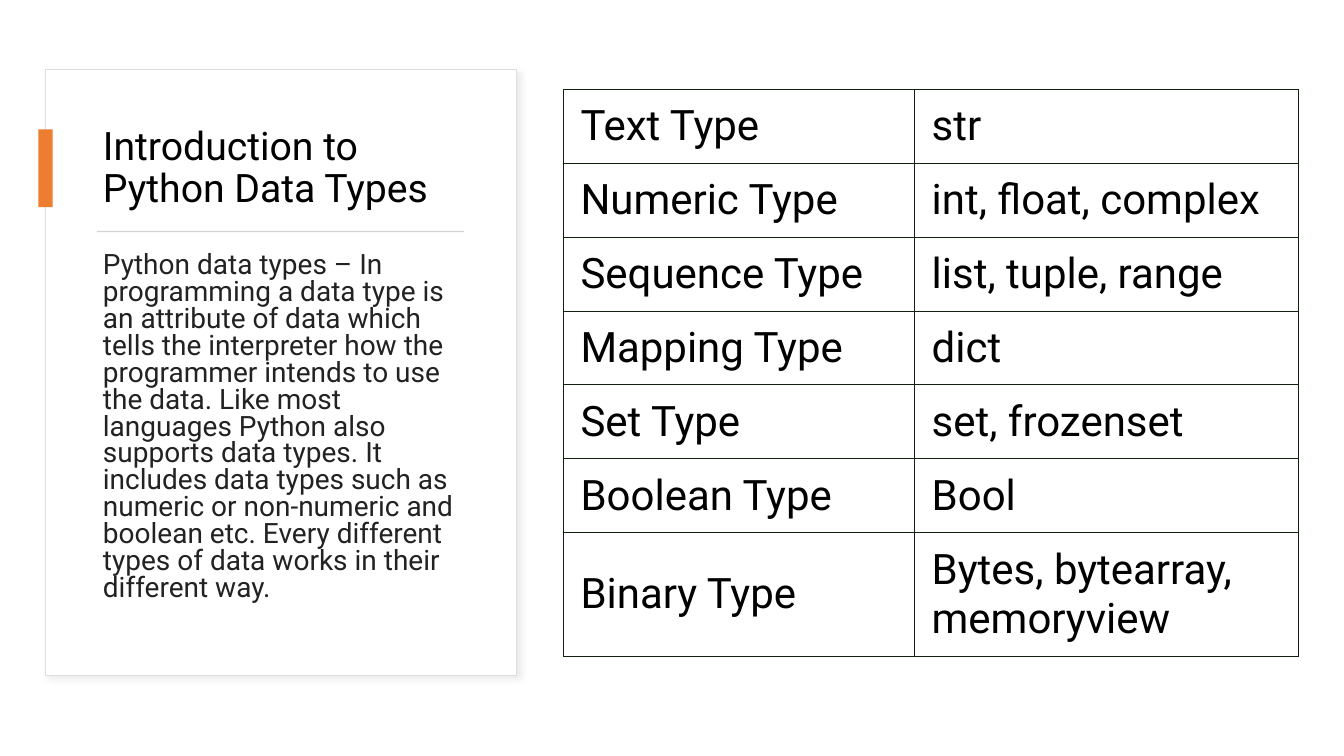
"""Build a slide that introduces Python data types with a text card and a table."""
from dataclasses import dataclass
from typing import Optional

import lxml.etree
import pptx
import pptx.dml.color
import pptx.enum.shapes
import pptx.enum.text
import pptx.oxml.ns
import pptx.util

Cm = pptx.util.Cm
Pt = pptx.util.Pt
RGBColor = pptx.dml.color.RGBColor
Anchor = pptx.enum.text.MSO_ANCHOR
qn = pptx.oxml.ns.qn

WHITE = RGBColor(0xFF, 0xFF, 0xFF)
BLACK = RGBColor(0x00, 0x00, 0x00)
BODY_GREY = RGBColor(0x22, 0x22, 0x22)
CARD_EDGE = RGBColor(0xDE, 0xDE, 0xDE)
CARD_SHADOW = RGBColor(0xD9, 0xD9, 0xD9)
ACCENT_ORANGE = RGBColor(0xED, 0x7D, 0x31)
DIVIDER_GREY = RGBColor(0xD5, 0xD5, 0xD5)
GRID = RGBColor(0x10, 0x22, 0x0D)
FONT = "Roboto"

HEADING = "Introduction to Python Data Types"
EXPLANATION = (
    "Python data types – In programming a data type is an attribute of data which "
    "tells the interpreter how the programmer intends to use the data. Like most "
    "languages Python also supports data types. It includes data types such as "
    "numeric or non-numeric and boolean etc. Every different types of data works "
    "in their different way."
)


@dataclass(frozen=True)
class Box:
    left: float
    top: float
    width: float
    height: float

    def lengths(self) -> tuple:
        return Cm(self.left), Cm(self.top), Cm(self.width), Cm(self.height)


@dataclass(frozen=True)
class Panel:
    box: Box
    fill: RGBColor
    edge: Optional[RGBColor] = None
    shadow: Optional[RGBColor] = None


@dataclass(frozen=True)
class TypeRow:
    category: str
    types: str
    height: float = 1.86


PANELS = [
    Panel(Box(1.14, 1.75, 11.89, 15.27), WHITE, CARD_EDGE, CARD_SHADOW),
    Panel(Box(0.97, 3.26, 0.36, 1.96), ACCENT_ORANGE),
    Panel(Box(2.44, 5.82, 9.25, 0.03), DIVIDER_GREY),
]
TITLE_BOX = Box(2.34, 2.72, 9.47, 3.07)
BODY_BOX = Box(2.34, 6.25, 9.47, 9.88)
TYPE_ROWS = [
    TypeRow("Text Type", "str"),
    TypeRow("Numeric Type", "int, float, complex"),
    TypeRow("Sequence Type", "list, tuple, range"),
    TypeRow("Mapping Type", "dict"),
    TypeRow("Set Type", "set, frozenset"),
    TypeRow("Boolean Type", "Bool"),
    TypeRow("Binary Type", "Bytes, bytearray, memoryview", 3.12),
]
COLUMN_WIDTHS = [8.85, 9.66]
TABLE_BOX = Box(14.2, 2.26, sum(COLUMN_WIDTHS), sum(row.height for row in TYPE_ROWS))


def write(frame, text: str, *, size: float, color: RGBColor = BLACK,
          line_spacing: float = 1.0, after: float = 0) -> None:
    paragraph = frame.paragraphs[0]
    paragraph.alignment = pptx.enum.text.PP_ALIGN.LEFT
    paragraph.line_spacing = line_spacing
    paragraph.space_before = Pt(0)
    paragraph.space_after = Pt(after)
    run = paragraph.add_run()
    run.text = text
    run.font.name = FONT
    run.font.size = Pt(size)
    run.font.color.rgb = color


def place(holder, box: Box, anchor) -> None:
    holder.left, holder.top, holder.width, holder.height = box.lengths()
    holder.text_frame.word_wrap = True
    holder.text_frame.auto_size = pptx.enum.text.MSO_AUTO_SIZE.NONE
    holder.text_frame.vertical_anchor = anchor


def remove_bullet(paragraph) -> None:
    properties = paragraph._p.get_or_add_pPr()
    properties.set("marL", "0")
    properties.set("indent", "0")
    lxml.etree.SubElement(properties, qn("a:buNone"))


def cast_shadow(shape, color: RGBColor) -> None:
    effects = shape._element.spPr.find(qn("a:effectLst"))
    shadow = lxml.etree.SubElement(
        effects, qn("a:outerShdw"), blurRad=str(Pt(4)), dist=str(Pt(3)),
        dir="2700000", algn="tl", rotWithShape="0")
    tint = lxml.etree.SubElement(shadow, qn("a:srgbClr"), val=str(color))
    lxml.etree.SubElement(tint, qn("a:alpha"), val="50000")


def draw_panel(slide, panel: Panel):
    shape = slide.shapes.add_shape(
        pptx.enum.shapes.MSO_SHAPE.RECTANGLE, *panel.box.lengths())
    shape.shadow.inherit = False
    shape.fill.solid()
    shape.fill.fore_color.rgb = panel.fill
    if panel.edge is None:
        shape.line.fill.background()
    else:
        shape.line.color.rgb = panel.edge
        shape.line.width = Pt(0.75)
    if panel.shadow is not None:
        cast_shadow(shape, panel.shadow)
    return shape


def format_cell(cell, text: str) -> None:
    cell.vertical_anchor = Anchor.MIDDLE
    cell.margin_left = cell.margin_right = Cm(0.43)
    cell.margin_top = cell.margin_bottom = Cm(0.2)
    write(cell.text_frame, text, size=30)
    properties = cell._tc.get_or_add_tcPr()
    for side in ("a:lnL", "a:lnR", "a:lnT", "a:lnB"):
        border = lxml.etree.SubElement(properties, qn(side), w=str(Pt(0.75)))
        ink = lxml.etree.SubElement(border, qn("a:solidFill"))
        lxml.etree.SubElement(ink, qn("a:srgbClr"), val=str(GRID))
    cell.fill.background()


def draw_type_table(slide) -> None:
    table = slide.shapes.add_table(
        len(TYPE_ROWS), len(COLUMN_WIDTHS), *TABLE_BOX.lengths()).table
    table.first_row = table.horz_banding = False
    for column, width in zip(table.columns, COLUMN_WIDTHS):
        column.width = Cm(width)
    for index, row in enumerate(TYPE_ROWS):
        table.rows[index].height = Cm(row.height)
        for position, text in enumerate((row.category, row.types)):
            format_cell(table.cell(index, position), text)


def main() -> None:
    deck = pptx.Presentation()
    deck.slide_width, deck.slide_height = Cm(33.87), Cm(19.05)
    slide = deck.slides.add_slide(deck.slide_layouts[1])
    heading, explanation = slide.placeholders

    place(heading, TITLE_BOX, Anchor.MIDDLE)
    write(heading.text_frame, HEADING, size=28, line_spacing=0.9)
    place(explanation, BODY_BOX, Anchor.TOP)
    write(explanation.text_frame, EXPLANATION, size=20, color=BODY_GREY,
          line_spacing=0.8, after=6)
    remove_bullet(explanation.text_frame.paragraphs[0])

    card, *_ = [draw_panel(slide, panel) for panel in PANELS]
    heading._element.addprevious(card._element)
    draw_type_table(slide)
    deck.save("out.pptx")


if __name__ == "__main__":
    main()
